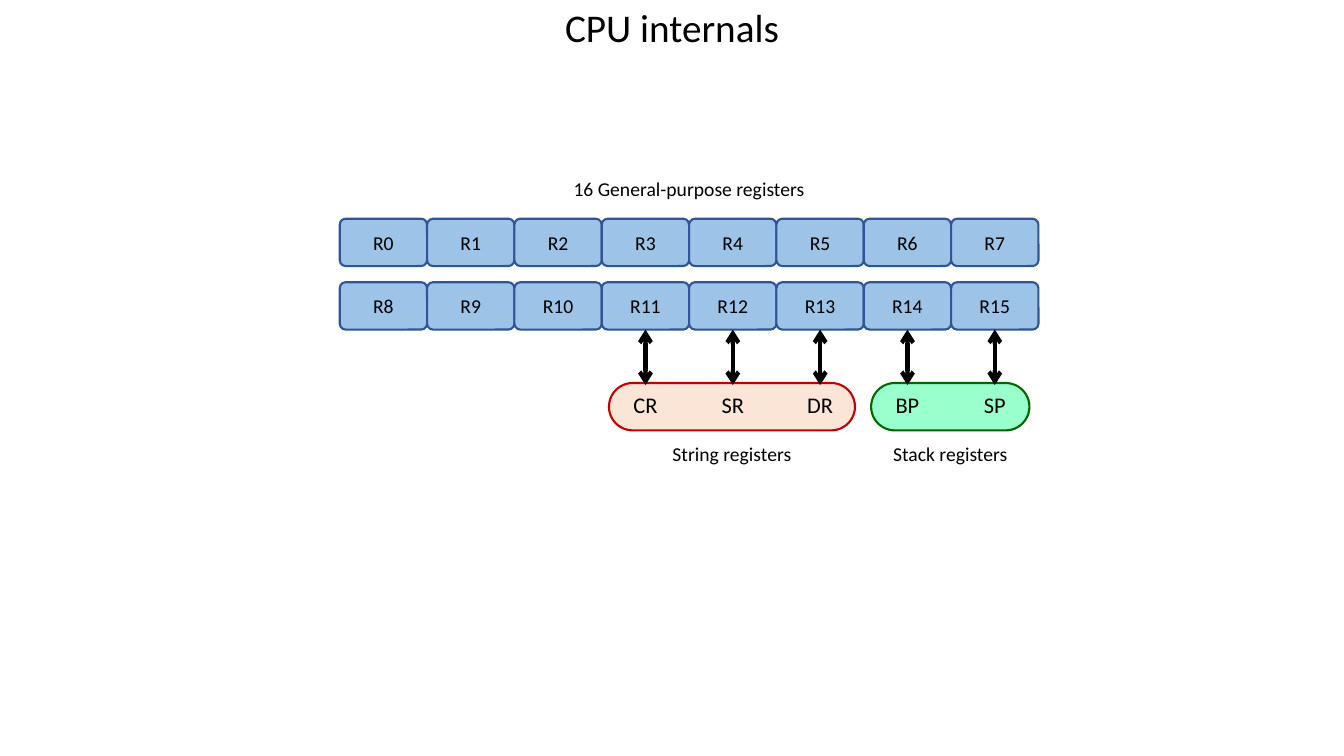
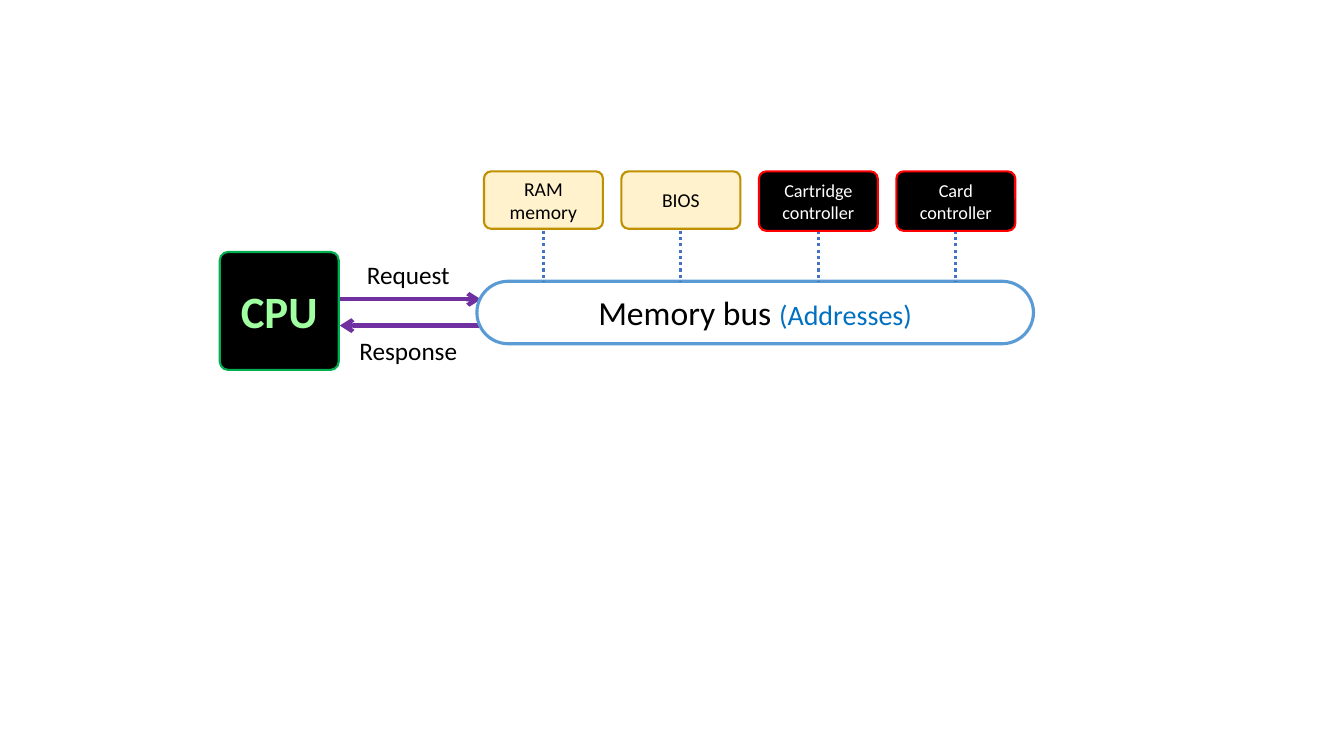
from lxml.etree import SubElement
from pptx import Presentation
from pptx.dml.color import RGBColor
from pptx.enum.dml import MSO_LINE
from pptx.enum.shapes import MSO_CONNECTOR, MSO_SHAPE
from pptx.enum.text import MSO_ANCHOR, MSO_AUTO_SIZE, PP_ALIGN
from pptx.oxml.ns import qn
from pptx.util import Inches, Pt

FONT = "Calibri"
BLACK, WHITE, RED = "000000", "FFFFFF", "FF0000"
ROUNDED = MSO_SHAPE.ROUNDED_RECTANGLE
rgb = RGBColor.from_string


def write(shape, text="", size=14, color=BLACK, bold=False,
          fill=None, line=None, weight=1.5, radius=0.125):
    if fill:
        shape.shadow.inherit = False
        shape.adjustments[0] = radius
        shape.fill.solid()
        shape.fill.fore_color.rgb = rgb(fill)
        shape.line.color.rgb = rgb(line)
        shape.line.width = Pt(weight)
    frame = shape.text_frame
    frame.word_wrap = True
    frame.auto_size = MSO_AUTO_SIZE.NONE
    frame.vertical_anchor = MSO_ANCHOR.MIDDLE
    paragraph = frame.paragraphs[0]
    paragraph.alignment = PP_ALIGN.CENTER
    if text:
        run = paragraph.add_run()
        run.text = text
        run.font.name = FONT
        run.font.size = Pt(size)
        run.font.bold = bold
        run.font.color.rgb = rgb(color)


def connect(shapes, x1, y1, x2, y2, color, weight=3, dash=None, ends=()):
    link = shapes.add_connector(MSO_CONNECTOR.STRAIGHT, Inches(x1), Inches(y1),
                                Inches(x2), Inches(y2))
    link.line.color.rgb = rgb(color)
    link.line.width = Pt(weight)
    if dash:
        link.line.dash_style = dash
    properties = link._element.spPr
    outline = properties.find(qn("a:ln"))
    for end in ends:
        SubElement(outline, qn(end), type="arrow")
    SubElement(properties, qn("a:effectLst"))


deck = Presentation()
deck.slide_width, deck.slide_height = Inches(13.33), Inches(7.5)

internals = deck.slides.add_slide(deck.slide_layouts[5])
shapes = internals.shapes
title = shapes.title
title.left, title.top = Inches(0), Inches(0)
title.width, title.height = Inches(13.33), Inches(0.6)
write(title, "CPU internals", size=28)
title.text_frame.paragraphs[0].line_spacing = 0.9

bank_left, bank_width, columns = 3.37, 6.93, 8
cell_width, cell_height = bank_width / columns, 0.47
bank_tops = [2.17, 2.8]

groups = [
    ("Stack registers", 8.64, 1.57, "99FFCC", "006600"),
    ("String registers", 6.04, 2.44, "FBE5D6", "C00000"),
]
for caption, left, width, fill, line in groups:
    pill = shapes.add_shape(ROUNDED, Inches(left), Inches(3.8),
                            Inches(width), Inches(cell_height))
    write(pill, fill=fill, line=line, radius=0.5)
    label = shapes.add_textbox(Inches(left), Inches(4.33), Inches(width), Inches(0.34))
    write(label, caption)

for number in range(columns * len(bank_tops)):
    row, column = divmod(number, columns)
    register = shapes.add_shape(ROUNDED, Inches(bank_left + column * cell_width),
                                Inches(bank_tops[row]), Inches(cell_width),
                                Inches(cell_height))
    write(register, f"R{number}", fill="9DC3E6", line="2F5597")

for column, alias in enumerate(["CR", "SR", "DR", "BP", "SP"], start=3):
    left = bank_left + column * cell_width
    alias_label = shapes.add_textbox(Inches(left), Inches(3.82),
                                     Inches(cell_width), Inches(0.39))
    write(alias_label, alias, size=16)
    center = left + cell_width / 2
    connect(shapes, center, 3.82, center, 3.27, BLACK,
            ends=("a:headEnd", "a:tailEnd"))

bank_caption = shapes.add_textbox(Inches(bank_left), Inches(1.7),
                                  Inches(bank_width), Inches(0.34))
write(bank_caption, "16 General-purpose registers")

memory_map = deck.slides.add_slide(deck.slide_layouts[6])
shapes = memory_map.shapes

cpu = shapes.add_shape(ROUNDED, Inches(2.18), Inches(2.5), Inches(1.18), Inches(1.17))
write(cpu, "CPU", size=32, color="A0FFA0", bold=True,
      fill=BLACK, line="00B050", radius=0.07)

signals = [
    ("Request", 2.52, 2.97, "a:tailEnd"),
    ("Response", 3.28, 3.23, "a:headEnd"),
]
for signal, label_top, arrow_y, end in signals:
    label = shapes.add_textbox(Inches(3.38), Inches(label_top), Inches(1.34), Inches(0.4))
    write(label, signal, size=18)
    connect(shapes, 3.37, arrow_y, 4.77, arrow_y, "7030A0", ends=(end,))

bus = shapes.add_shape(ROUNDED, Inches(4.73), Inches(2.79), Inches(5.52), Inches(0.62))
write(bus, "Memory bus ", size=24, fill=WHITE, line="5B9BD5", weight=2.25, radius=0.5)
write(bus, "(Addresses)", size=20, color="0070C0")

memory_style = dict(size=14, color=BLACK, fill="FFF2CC", line="BF9000")
controller_style = dict(size=13, color=WHITE, fill=BLACK, line=RED)
devices = [
    ("RAM memory", 0.57, memory_style),
    ("BIOS", 0.57, memory_style),
    ("Cartridge controller", 0.59, controller_style),
    ("Card controller", 0.59, controller_style),
]
device_left, device_width = 4.8, 1.18
device_pitch = 4.09 / (len(devices) - 1)
for index, (device, height, style) in enumerate(devices):
    left = device_left + index * device_pitch
    center = left + device_width / 2
    connect(shapes, center, 2.29, center, 2.79, "4472C4",
            weight=2.25, dash=MSO_LINE.ROUND_DOT)
    block = shapes.add_shape(ROUNDED, Inches(left), Inches(1.7),
                             Inches(device_width), Inches(height))
    write(block, device, **style)

deck.save("out.pptx")
